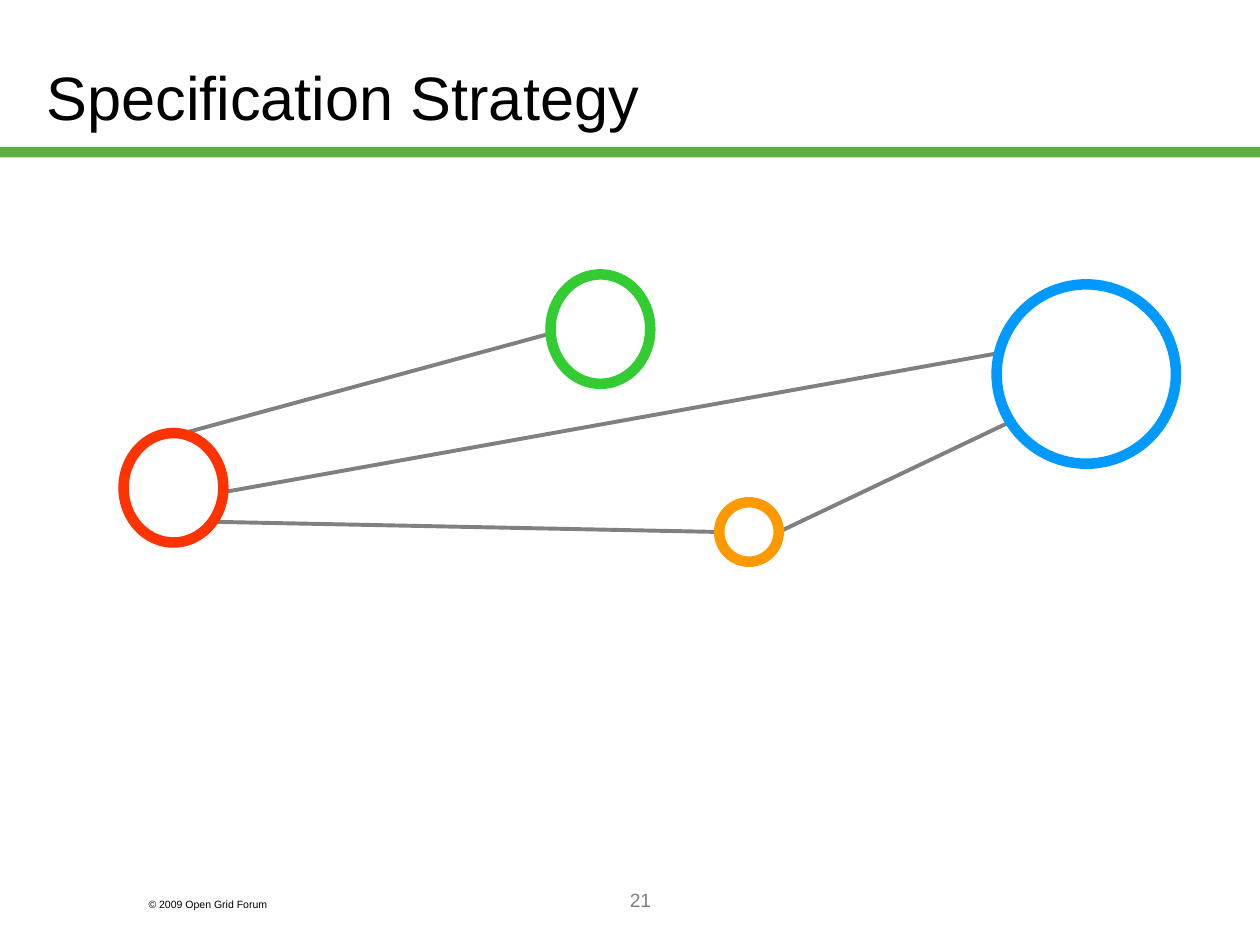
"""Build the Specification Strategy slide with four linked rings."""
from typing import NamedTuple

from lxml.etree import SubElement
from pptx import Presentation
from pptx.dml.color import RGBColor
from pptx.enum.shapes import MSO_CONNECTOR as Conn, MSO_SHAPE as Shape
from pptx.enum.text import MSO_ANCHOR as Anchor, PP_ALIGN as Align
from pptx.oxml.ns import qn
from pptx.util import Pt


class Ring(NamedTuple):
    x: float
    y: float
    w: float
    h: float
    color: str


class Link(NamedTuple):
    x1: float
    y1: float
    x2: float
    y2: float


class Label(NamedTuple):
    x: float
    y: float
    w: float
    h: float
    text: str
    size: float
    color: str
    align: Align


RINGS = [
    Ring(70.6, 247.5, 57, 62.5, "FF3300"),
    Ring(569.5, 162.5, 102.5, 102.5, "0099FF"),
    Ring(314.6, 156.8, 57, 62.5, "33CC33"),
    Ring(411, 287, 34, 34, "FF9900"),
]
LINKS = [
    Link(445, 304, 575.3, 242),
    Link(121.7, 298.2, 411, 304),
    Link(127.5, 281.3, 569.5, 202),
    Link(105, 247.5, 314.6, 190.6),
]
LABELS = [
    Label(77.8, 509.8, 108, 14.4, "© 2009 Open Grid Forum", 6, "000000", Align.LEFT),
    Label(156, 504, 420, 36, "21", 11, "808080", Align.CENTER),
]


def rgb(value: str) -> RGBColor:
    return RGBColor.from_string(value)


def add_run(p, text: str, size: float, color: str) -> None:
    r = p.add_run()
    r.text = text
    r.font.name = "Arial"
    r.font.size = Pt(size)
    r.font.color.rgb = rgb(color)


def place(sp, x: float, y: float, w: float, h: float) -> None:
    sp.left, sp.top, sp.width, sp.height = Pt(x), Pt(y), Pt(w), Pt(h)


def add_title(s, text: str) -> None:
    sp = s.shapes.title
    place(sp, 19.4, 21.6, 680.4, 67)
    tf = sp.text_frame
    tf.vertical_anchor = Anchor.MIDDLE
    p = tf.paragraphs[0]
    p.alignment = Align.LEFT
    add_run(p, text, 35, "000000")


def add_label(s, label: Label) -> None:
    sp = s.shapes.add_textbox(Pt(label.x), Pt(label.y), Pt(label.w), Pt(label.h))
    tf = sp.text_frame
    tf.word_wrap = True
    p = tf.paragraphs[0]
    p.alignment = label.align
    add_run(p, label.text, label.size, label.color)


def add_bar(s, y: float, w: float, h: float, color: str) -> None:
    sp = s.shapes.add_shape(Shape.RECTANGLE, 0, Pt(y), Pt(w), Pt(h))
    sp.shadow.inherit = False
    sp.fill.solid()
    sp.fill.fore_color.rgb = rgb(color)
    sp.line.fill.background()


def add_ring(s, ring: Ring) -> None:
    sp = s.shapes.add_shape(Shape.OVAL, Pt(ring.x), Pt(ring.y), Pt(ring.w), Pt(ring.h))
    sp.shadow.inherit = False
    sp.fill.solid()
    sp.fill.fore_color.rgb = rgb("FFFFFF")
    sp.line.color.rgb = rgb(ring.color)
    sp.line.width = Pt(6)


def add_link(s, link: Link) -> None:
    sp = s.shapes.add_connector(Conn.STRAIGHT, *map(Pt, link))
    sp.line.color.rgb = rgb("808080")
    sp.line.width = Pt(2.25)
    SubElement(sp._element.spPr, qn("a:effectLst"))


def main() -> None:
    prs = Presentation()
    prs.slide_width, prs.slide_height = Pt(720), Pt(540)
    s = prs.slides.add_slide(prs.slide_layouts[5])
    add_bar(s, 84, 720, 6, "5DAD41")
    add_title(s, "Specification Strategy")
    for label in LABELS:
        add_label(s, label)
    for link in LINKS:
        add_link(s, link)
    for ring in RINGS:
        add_ring(s, ring)
    prs.save("out.pptx")


if __name__ == "__main__":
    main()
